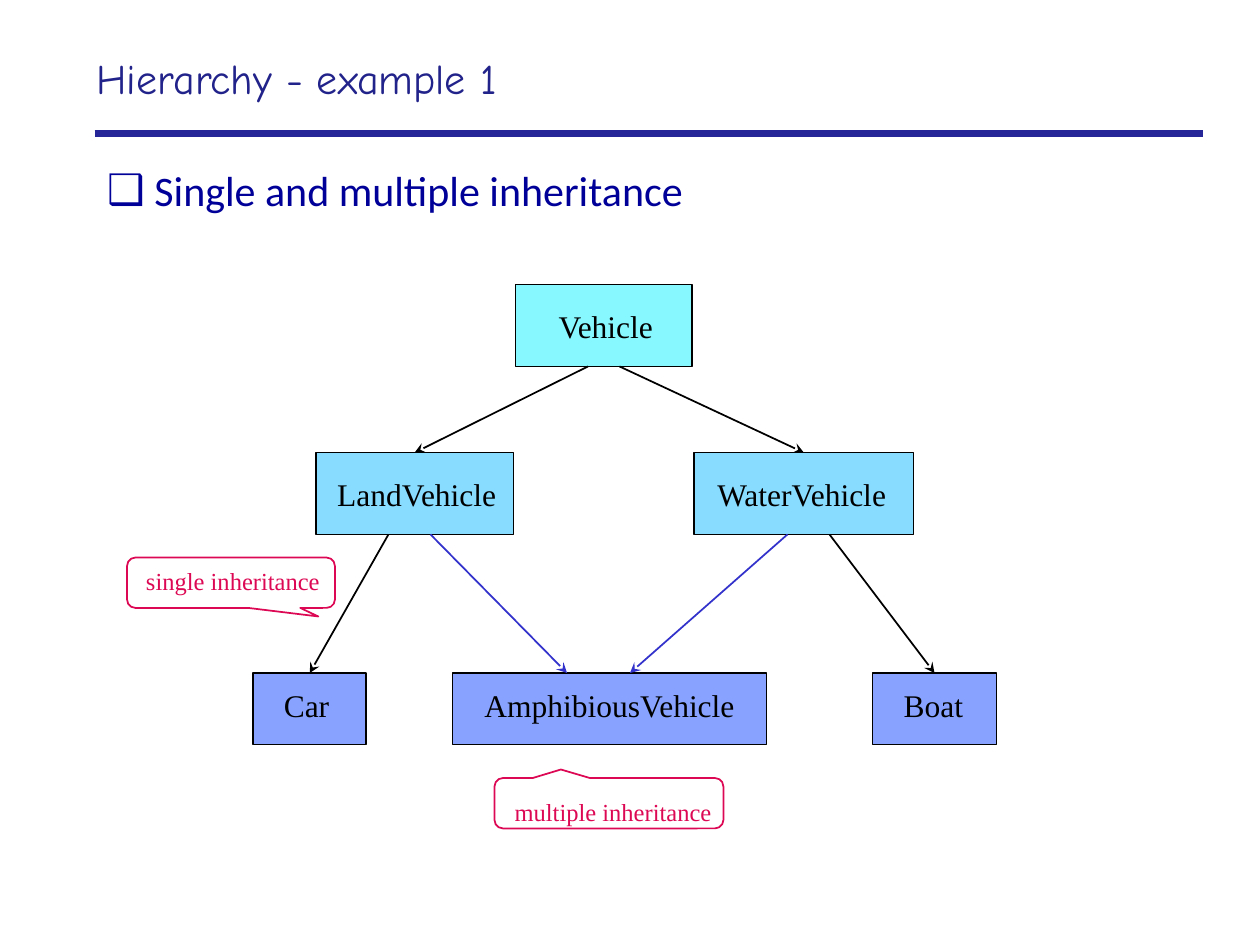
from dataclasses import dataclass
from typing import Optional

import pptx
import pptx.util
import pptx.dml.color
import pptx.enum.shapes
import pptx.enum.text
import pptx.oxml
import pptx.oxml.ns

RGB = pptx.dml.color.RGBColor
Kind = pptx.enum.shapes.MSO_SHAPE
Anchor = pptx.enum.text.MSO_ANCHOR
Align = pptx.enum.text.PP_ALIGN
Pt = pptx.util.Pt

BLACK = RGB(0x00, 0x00, 0x00)
WHITE = RGB(0xFF, 0xFF, 0xFF)
NAVY = RGB(0x22, 0x22, 0x8B)
RULE = RGB(0x26, 0x26, 0x99)
BLUE = RGB(0x00, 0x00, 0x99)
LINK = RGB(0x33, 0x33, 0xCC)
RED = RGB(0xDD, 0x08, 0x53)
CYAN = RGB(0x87, 0xF8, 0xFF)
SKY = RGB(0x87, 0xDC, 0xFF)
LILAC = RGB(0x87, 0xA3, 0xFF)

CELL = pptx.util.Inches(1) / 12  # grid of 120 columns by 90 rows
SERIF = "Times New Roman"
TOP, BOTTOM = 0, 2


@dataclass
class Level:
    row: float
    high: float
    fill: RGB


@dataclass
class Node:
    name: str
    level: Level
    col: float
    wide: float
    dx: float = 0  # nudge of the text, in cells
    dy: float = 0


@dataclass
class Arrow:
    start: str
    col: float
    end: str
    stop: Optional[float] = None  # None: middle of the top side
    color: RGB = BLACK


@dataclass
class Note:
    text: str
    col: float
    row: float
    wide: float
    tip: tuple
    dx: float
    dy: float
    fill: Optional[RGB] = None


BASE = Level(27.1, 7.8, CYAN)
MID = Level(43.1, 7.8, SKY)
LEAF = Level(64.1, 6.8, LILAC)

NODES = [
    Node("Vehicle", BASE, 49.1, 16.8, 0.2),
    Node("LandVehicle", MID, 30.1, 18.8, 0.2),
    Node("WaterVehicle", MID, 66.1, 20.9, -0.2),
    Node("Car", LEAF, 24.1, 10.8, -0.3, -0.4),
    Node("AmphibiousVehicle", LEAF, 43.1, 29.9, 0, -0.4),
    Node("Boat", LEAF, 83.1, 11.8, -0.1, -0.4),
]
ARROWS = [
    Arrow("Vehicle", 56, "LandVehicle"),
    Arrow("Vehicle", 59, "WaterVehicle"),
    Arrow("LandVehicle", 37, "Car"),
    Arrow("LandVehicle", 41, "AmphibiousVehicle", 54, LINK),
    Arrow("WaterVehicle", 75, "AmphibiousVehicle", 60, LINK),
    Arrow("WaterVehicle", 79, "Boat"),
]
NOTES = [
    Note("multiple inheritance", 47.1, 74.1, 21.8, (-0.21, -0.67), 0.4, 0.8, WHITE),
    Note("single inheritance", 12.1, 53.1, 19.8, (0.42, 0.67), 0.2, -0.2),
]


def span(*cells: float) -> list:
    return [round(c * CELL) for c in cells]


def style(par, face: str, size: float, color: RGB) -> None:
    par.font.name, par.font.size = face, Pt(size)
    par.font.color.rgb = color


def place(hold, box: tuple, text: str, anchor: Anchor):
    """Move a placeholder, fill it and return its paragraph."""
    hold.left, hold.top, hold.width, hold.height = span(*box)
    frame = hold.text_frame
    frame.text = text
    frame.auto_size = pptx.enum.text.MSO_AUTO_SIZE.NONE
    frame.vertical_anchor = anchor
    par = frame.paragraphs[0]
    par.alignment = Align.LEFT
    return par


def label(shape, text: str, size: float, color: RGB, dx: float, dy: float) -> None:
    frame = shape.text_frame
    frame.word_wrap = False
    frame.vertical_anchor = Anchor.MIDDLE
    frame.margin_left, frame.margin_right = span(1 + dx, 1 - dx)
    frame.margin_top, frame.margin_bottom = span(1 + dy, 1 - dy)
    par = frame.paragraphs[0]
    par.text, par.alignment = text, Align.CENTER
    style(par, SERIF, size, color)


def block(slide, kind: Kind, box: tuple, fill: Optional[RGB], edge: RGB):
    shape = slide.shapes.add_shape(kind, *span(*box))
    shape.shadow.inherit = False
    if fill is None:
        shape.fill.background()
    else:
        shape.fill.solid()
        shape.fill.fore_color.rgb = fill
    shape.line.color.rgb, shape.line.width = edge, Pt(1)
    return shape


def stroke(slide, ends: tuple, color: RGB, width: float):
    line = slide.shapes.add_connector(
        pptx.enum.shapes.MSO_CONNECTOR.STRAIGHT, *span(*ends))
    line.line.color.rgb, line.line.width = color, Pt(width)
    pptx.oxml.ns.qn("a:effectLst")
    props = line._element.spPr
    props.append(pptx.oxml.parse_xml(
        f"<a:effectLst {pptx.oxml.ns.nsdecls('a')}/>"))
    return line


def join(slide, arrow: Arrow, nodes: dict, shapes: dict) -> None:
    head, foot = nodes[arrow.start], nodes[arrow.end]
    middle = foot.col + foot.wide / 2
    stop = middle if arrow.stop is None else arrow.stop
    low = head.level.row + head.level.high
    line = stroke(slide, (arrow.col, low, stop, foot.level.row), arrow.color, 1)
    if arrow.stop is None:
        line.end_connect(shapes[arrow.end], TOP)
    line.line._get_or_add_ln().append(pptx.oxml.parse_xml(
        f"<a:tailEnd {pptx.oxml.ns.nsdecls('a')} type='stealth'/>"))


def main() -> None:
    deck = pptx.Presentation()
    deck.slide_width, deck.slide_height = span(120, 90)
    slide = deck.slides.add_slide(deck.slide_layouts[1])

    # Title and rule
    par = place(slide.shapes.title, (8, 3.4, 99.2, 8),
                "Hierarchy - example 1", Anchor.MIDDLE)
    style(par, "Comic Neue", 24, NAVY)
    stroke(slide, (9, 12.7, 114.6, 12.7), RULE, 4)

    # Bulleted list
    par = place(slide.placeholders[1], (9, 15.1, 105.2, 69.2),
                "Single and multiple inheritance", Anchor.TOP)
    props = par._p.get_or_add_pPr()
    indent = span(4.5)[0]
    props.set("marL", str(indent))
    props.set("indent", str(-indent))
    space = pptx.oxml.ns.nsdecls("a")
    for item in (f"<a:buClr {space}><a:srgbClr val='{BLUE}'/></a:buClr>",
                 f"<a:buChar {space} char='❑'/>"):
        props.append(pptx.oxml.parse_xml(item))
    par.space_before = Pt(0)
    style(par, "Calibri", 24, BLUE)

    # Class boxes
    shapes = {}
    for node in NODES:
        level = node.level
        box = (node.col, level.row, node.wide, level.high)
        shape = block(slide, Kind.RECTANGLE, box, level.fill, BLACK)
        label(shape, node.name, 18, BLACK, node.dx, node.dy)
        shapes[node.name] = shape

    # Inheritance arrows
    nodes = {node.name: node for node in NODES}
    for arrow in ARROWS:
        join(slide, arrow, nodes, shapes)

    # Callouts
    for note in NOTES:
        shape = block(slide, Kind.ROUNDED_RECTANGULAR_CALLOUT,
                      (note.col, note.row, note.wide, 4.8), note.fill, RED)
        shape.adjustments[0], shape.adjustments[1] = note.tip
        label(shape, note.text, 14, RED, note.dx, note.dy)

    deck.save("out.pptx")


if __name__ == "__main__":
    main()
